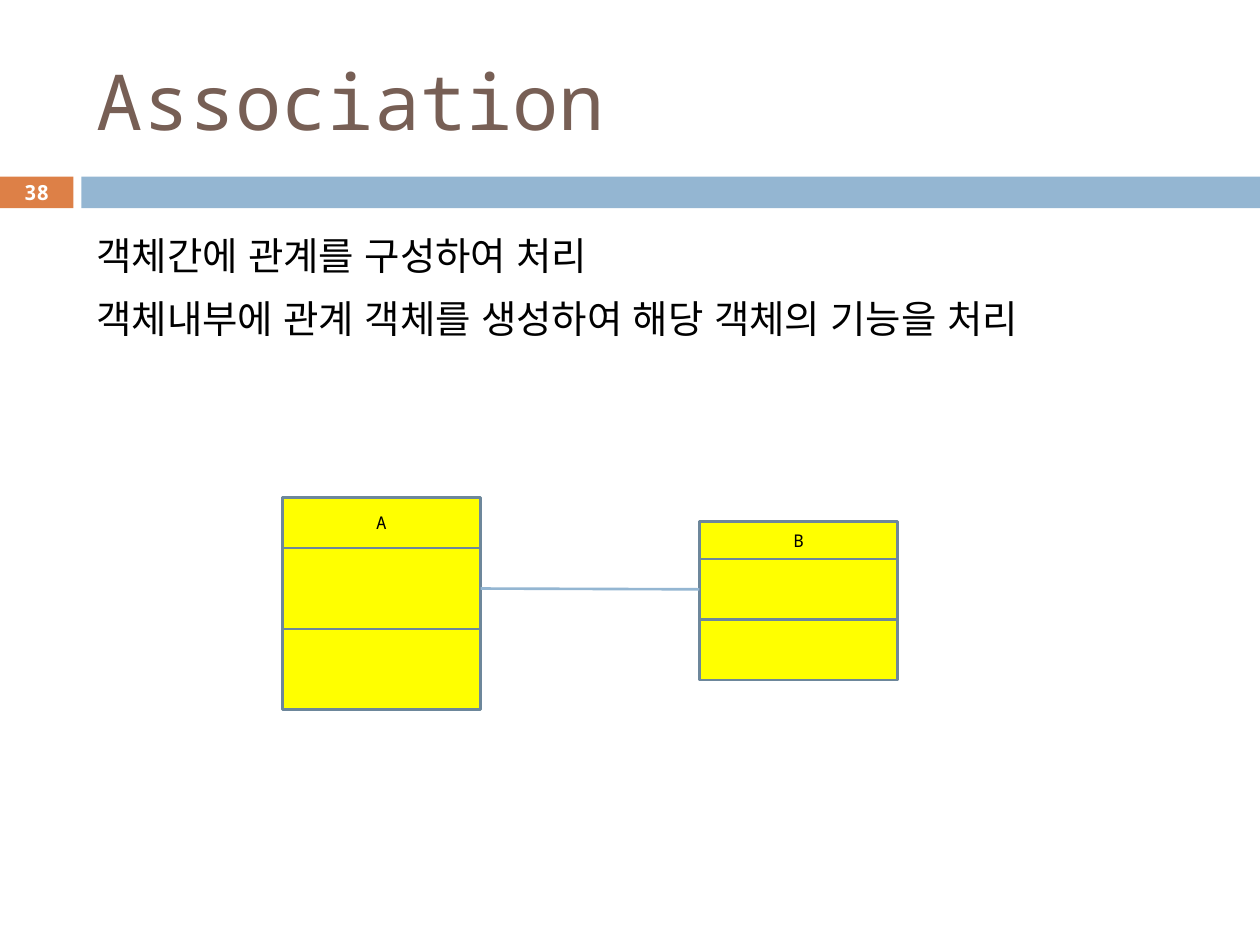
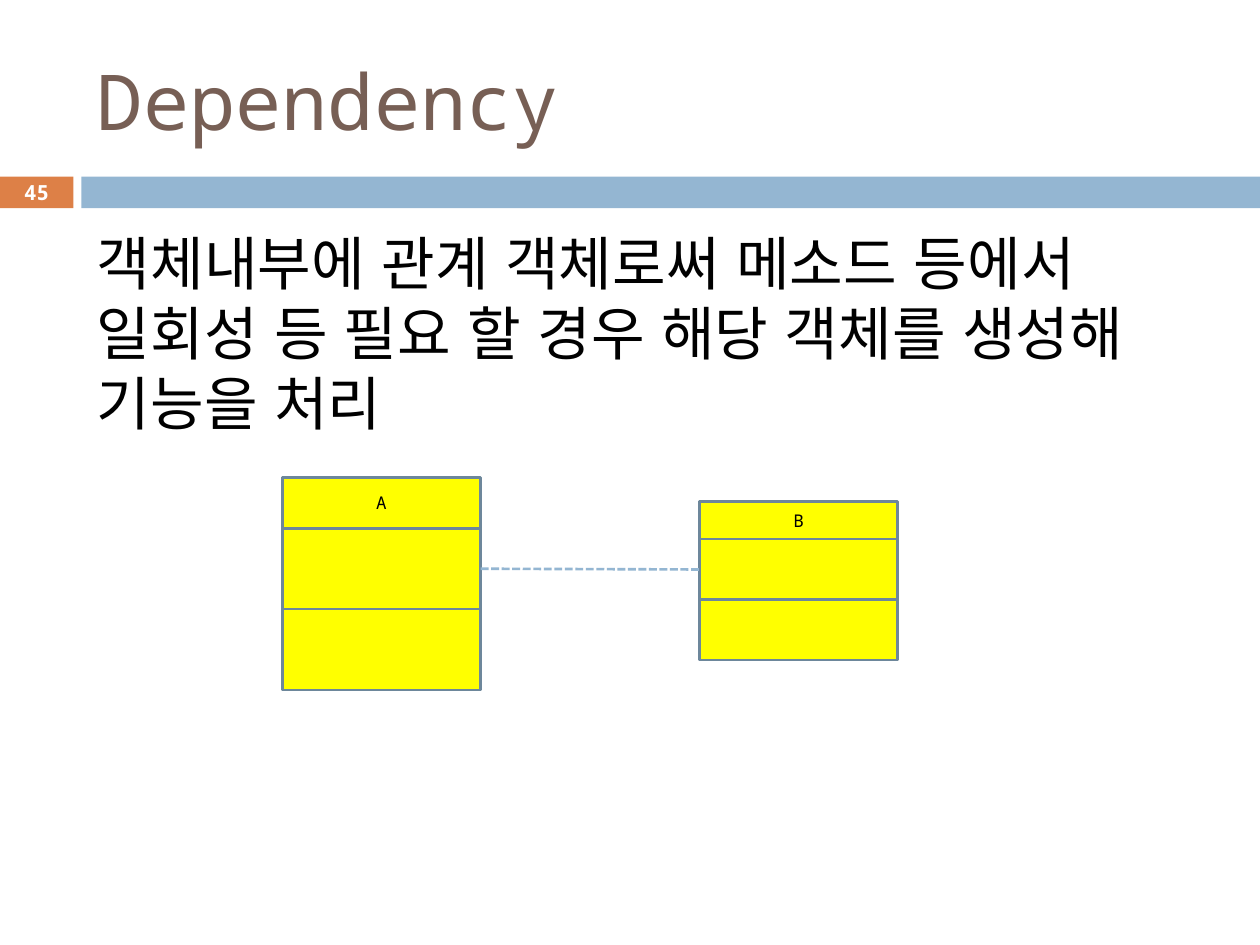
import pptx
import pptx.util
import pptx.dml.color
import pptx.enum.dml
import pptx.enum.lang
import pptx.enum.shapes
import pptx.enum.text
import pptx.oxml
import pptx.oxml.ns

Cm, Pt = pptx.util.Cm, pptx.util.Pt
PP_ALIGN, MSO_ANCHOR = pptx.enum.text.PP_ALIGN, pptx.enum.text.MSO_ANCHOR
RECTANGLE = pptx.enum.shapes.MSO_SHAPE.RECTANGLE
STRAIGHT = pptx.enum.shapes.MSO_CONNECTOR.STRAIGHT
DASH = pptx.enum.dml.MSO_LINE
KOREAN = pptx.enum.lang.MSO_LANGUAGE_ID.KOREAN

COLORS = {
    "title": "775F55",
    "number_band": "DD8047",
    "band": "94B6D2",
    "class_fill": "FFFF00",
    "class_line": "6D879B",
    "text": "000000",
    "number": "FFFFFF",
}
MONO, BODY = "Noto Sans Mono", "Arial"
BOX_WIDTH = 4

SLIDES = [
    {
        "title": "Association",
        "number": "38",
        "body": ["객체간에 관계를 구성하여 처리",
                 "객체내부에 관계 객체를 생성하여 해당 객체의 기능을 처리"],
        "size": 22, "spacing": 1.1, "body_height": 2.69,
        "top": 10.03, "dash": DASH.SOLID,
    },
    {
        "title": "Dependency",
        "number": "45",
        "body": ["객체내부에 관계 객체로써 메소드 등에서 일회성 등 필요 할 경우 "
                 "해당 객체를 생성해 기능을 처리"],
        "size": 33.3, "spacing": 1, "body_height": 4.67,
        "top": 9.63, "dash": DASH.SQUARE_DOT,
    },
]
CLASSES = [
    ("A", 5.69, 0, [1.02, 1.63, 1.63]),
    ("B", 14.1, 0.48, [0.76, 1.22, 1.22]),
]


def add_text(p, text, size, font, color, bold=False):
    r = p.add_run()
    r.text = text
    r.font.size = Pt(size)
    r.font.name = font
    r.font.bold = bold
    r.font.color.rgb = pptx.dml.color.RGBColor.from_string(COLORS[color])
    return r


def add_box(shapes, left, top, width, height, fill, line=None):
    sp = shapes.add_shape(RECTANGLE, Cm(left), Cm(top), Cm(width), Cm(height))
    sp.shadow.inherit = False
    sp.fill.solid()
    sp.fill.fore_color.rgb = pptx.dml.color.RGBColor.from_string(COLORS[fill])
    if line:
        sp.line.color.rgb = pptx.dml.color.RGBColor.from_string(COLORS[line])
        sp.line.width = Pt(1.5)
    else:
        sp.line.fill.background()
    return sp


prs = pptx.Presentation()
prs.slide_width, prs.slide_height = Cm(25.4), Cm(19.05)

for page in SLIDES:
    s = prs.slides.add_slide(prs.slide_layouts[5])
    add_box(s.shapes, 0, 3.56, 1.48, 0.64, "number_band")
    add_box(s.shapes, 1.64, 3.56, 23.76, 0.64, "band")

    title = s.shapes.title
    title.left, title.top, title.width, title.height = Cm(1.7), Cm(0.64), Cm(22.66), Cm(2.74)
    title.text_frame.vertical_anchor = MSO_ANCHOR.MIDDLE
    p = title.text_frame.paragraphs[0]
    p.alignment = PP_ALIGN.LEFT
    add_text(p, page["title"], 44, MONO, "title")

    body = s.shapes.add_textbox(Cm(1.7), Cm(4.45), Cm(22.66), Cm(page["body_height"]))
    tf = body.text_frame
    tf.word_wrap = True
    for i, text in enumerate(page["body"]):
        p = tf.add_paragraph() if i else tf.paragraphs[0]
        p.line_spacing = page["spacing"]
        p.space_before = Pt(7 if i else 0)
        r = add_text(p, text, page["size"], BODY, "text")
        r.font.language_id = KOREAN
        ea = pptx.oxml.parse_xml(f'<a:ea {pptx.oxml.ns.nsdecls("a")} typeface="{BODY}"/>')
        r.font._element.append(ea)

    attributes = []
    for name, left, drop, heights in CLASSES:
        group = s.shapes.add_group_shape()
        top = page["top"] + drop
        rows = []
        for height in heights:
            rows.append(add_box(group.shapes, left, top, BOX_WIDTH, height,
                                "class_fill", "class_line"))
            top += height
        tf = rows[0].text_frame
        tf.vertical_anchor = MSO_ANCHOR.MIDDLE
        p = tf.paragraphs[0]
        p.alignment = PP_ALIGN.CENTER
        add_text(p, name, 10, MONO, "text")
        attributes.append(rows[1])

    link = s.shapes.add_connector(STRAIGHT, 0, 0, 0, 0)
    link.begin_connect(attributes[0], 3)
    link.end_connect(attributes[1], 1)
    link.line.color.rgb = pptx.dml.color.RGBColor.from_string(COLORS["band"])
    link.line.width = Pt(1.5)
    link.line.dash_style = page["dash"]
    link._element.spPr.append(
        pptx.oxml.parse_xml(f'<a:effectLst {pptx.oxml.ns.nsdecls("a")}/>'))

    number = s.shapes.add_textbox(Cm(0), Cm(3.53), Cm(1.48), Cm(0.69))
    tf = number.text_frame
    tf.word_wrap = True
    tf.margin_left = tf.margin_right = tf.margin_top = tf.margin_bottom = 0
    tf.vertical_anchor = MSO_ANCHOR.MIDDLE
    p = tf.paragraphs[0]
    p.alignment = PP_ALIGN.CENTER
    add_text(p, page["number"], 11.9, MONO, "number", bold=True)

prs.save("out.pptx")
